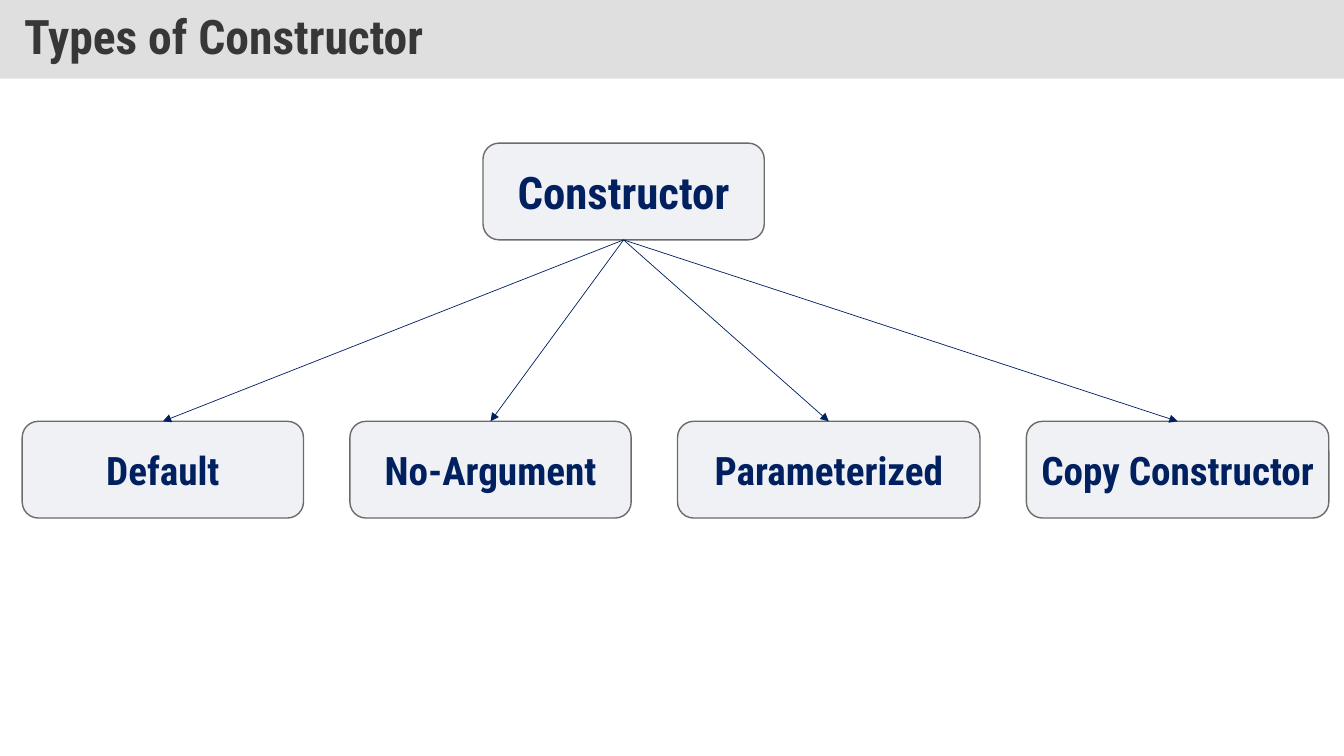
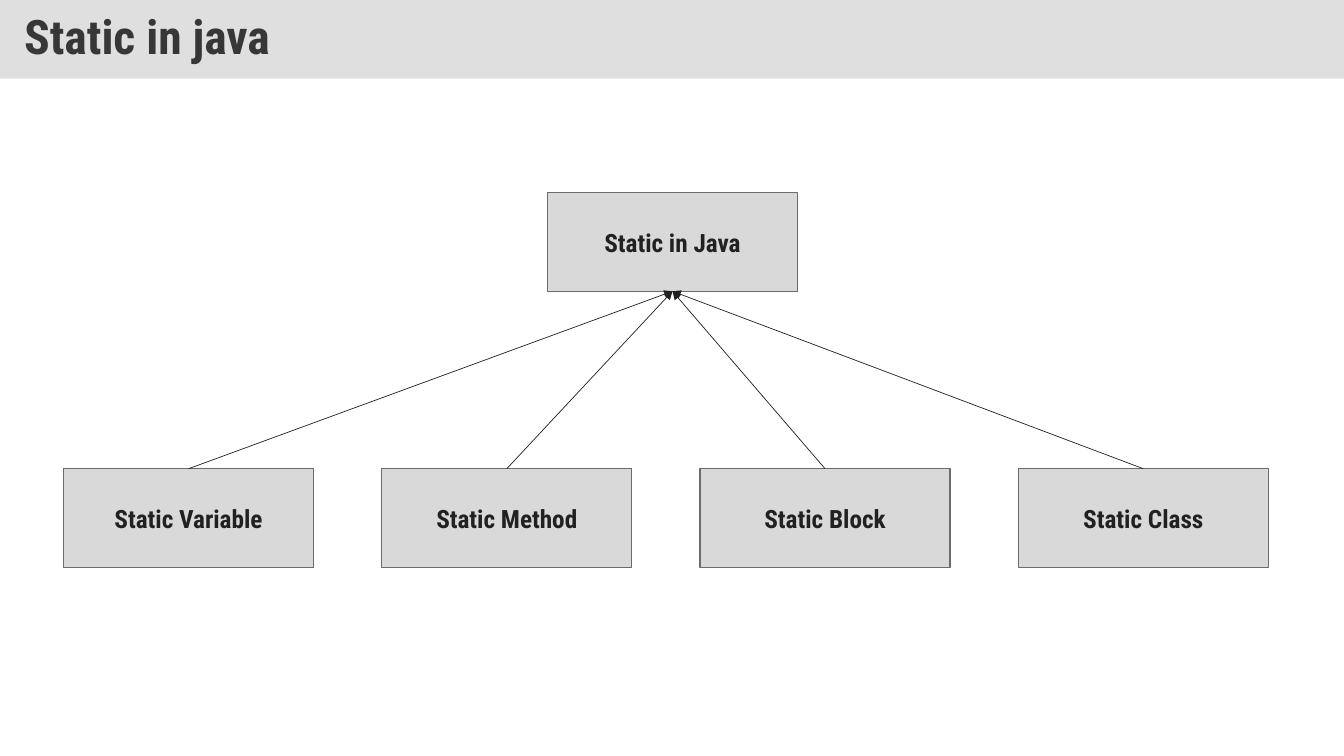
import dataclasses

import lxml.etree
import pptx
import pptx.dml.color
import pptx.enum.shapes
import pptx.enum.text
import pptx.oxml.ns
import pptx.util

Inches = pptx.util.Inches
Pt = pptx.util.Pt
SHAPE = pptx.enum.shapes.MSO_SHAPE
ALIGN = pptx.enum.text.PP_ALIGN
ANCHOR = pptx.enum.text.MSO_ANCHOR
qn = pptx.oxml.ns.qn


@dataclasses.dataclass(frozen=True)
class Theme:
    font: str = "Roboto Condensed"
    slide_w: float = 13.33
    slide_h: float = 7.5
    band_h: float = 0.78
    band: str = "C0C0C0"
    band_alpha: int = 50
    title: str = "373737"
    title_size: int = 34
    border: str = "6B6B6B"
    border_width: float = 1
    arrow_width: float = 0.5


@dataclasses.dataclass(frozen=True)
class NodeStyle:
    shape: int
    fill: str
    ink: str
    root_size: int
    child_size: int
    height: float
    alpha: int = 100


THEME = Theme()
NAVY = NodeStyle(SHAPE.ROUNDED_RECTANGLE, "002060", "002060", 32, 28, 0.96, alpha=6)
GREY = NodeStyle(SHAPE.RECTANGLE, "D9D9D9", "212121", 18, 18, 0.98)


def rgb(value):
    return pptx.dml.color.RGBColor.from_string(value)


def set_fill(sp, color, alpha=100):
    sp.fill.solid()
    sp.fill.fore_color.rgb = rgb(color)
    if alpha < 100:
        clr = sp.element.spPr.find(qn("a:solidFill")).find(qn("a:srgbClr"))
        lxml.etree.SubElement(clr, qn("a:alpha"), val=str(alpha * 1000))


def set_text(sp, text, *, size, color, align, wrap=True, spacing=None, inset=None):
    tf = sp.text_frame
    tf.word_wrap = wrap
    tf.vertical_anchor = ANCHOR.MIDDLE
    if inset:
        tf.margin_left = tf.margin_right = Inches(inset[0])
        tf.margin_top = tf.margin_bottom = Inches(inset[1])
    p = tf.paragraphs[0]
    p.alignment = align
    if spacing:
        p.line_spacing = spacing
    r = p.add_run()
    r.text = text
    r.font.name = THEME.font
    r.font.size = Pt(size)
    r.font.bold = True
    r.font.color.rgb = rgb(color)


def add_titled_slide(prs, title):
    s = prs.slides.add_slide(prs.slide_layouts.get_by_name("Title Only"))
    sp = s.shapes.title
    sp.left = sp.top = 0
    sp.width, sp.height = prs.slide_width, Inches(THEME.band_h)
    set_fill(sp, THEME.band, THEME.band_alpha)
    set_text(sp, title, size=THEME.title_size, color=THEME.title,
             align=ALIGN.LEFT, spacing=0.9, inset=(0.24, 0.12))
    return s


def add_node(s, text, left, top, width, style, size):
    sp = s.shapes.add_shape(style.shape, Inches(left), Inches(top),
                            Inches(width), Inches(style.height))
    sp.shadow.inherit = False
    set_fill(sp, style.fill, style.alpha)
    sp.line.color.rgb = rgb(THEME.border)
    sp.line.width = Pt(THEME.border_width)
    set_text(sp, text, size=size, color=style.ink, align=ALIGN.CENTER, wrap=False)
    return sp


def add_arrow(s, start, start_site, end, end_site, color):
    line = s.shapes.add_connector(pptx.enum.shapes.MSO_CONNECTOR.STRAIGHT, 0, 0, 0, 0)
    line.begin_connect(start, start_site)
    line.end_connect(end, end_site)
    line.line.color.rgb = rgb(color)
    line.line.width = Pt(THEME.arrow_width)
    spPr = line.element.spPr
    lxml.etree.SubElement(spPr.find(qn("a:ln")), qn("a:tailEnd"), type="triangle")
    lxml.etree.SubElement(spPr, qn("a:effectLst"))


def add_tree(s, root, children, style, *, top, left, right, upward=False):
    """root is (text, left, top, width); children are (text, width), equally spaced."""
    parent = add_node(s, *root, style, style.root_size)
    gap = (right - left - sum(width for _, width in children)) / (len(children) - 1)
    for text, width in children:
        child = add_node(s, text, left, top, width, style, style.child_size)
        if upward:
            add_arrow(s, child, 0, parent, 2, style.ink)
        else:
            add_arrow(s, parent, 2, child, 0, style.ink)
        left += width + gap


def main():
    prs = pptx.Presentation()
    prs.slide_width = Inches(THEME.slide_w)
    prs.slide_height = Inches(THEME.slide_h)

    # Constructor kinds: arrows point down to each kind
    s = add_titled_slide(prs, "Types of Constructor")
    kinds = [("Default", 2.79), ("No-Argument", 2.79),
             ("Parameterized", 3), ("Copy Constructor", 3)]
    add_tree(s, ("Constructor", 4.79, 1.42, 2.79), kinds, NAVY,
             top=4.18, left=0.22, right=13.18)

    # Static members: arrows point up to the shared concept
    s = add_titled_slide(prs, "Static in java")
    members = [(f"Static {name}", 2.48) for name in ("Variable", "Method", "Block", "Class")]
    add_tree(s, ("Static in Java", 5.43, 1.91, 2.48), members, GREY,
             top=4.65, left=0.63, right=12.58, upward=True)

    prs.save("out.pptx")


if __name__ == "__main__":
    main()
